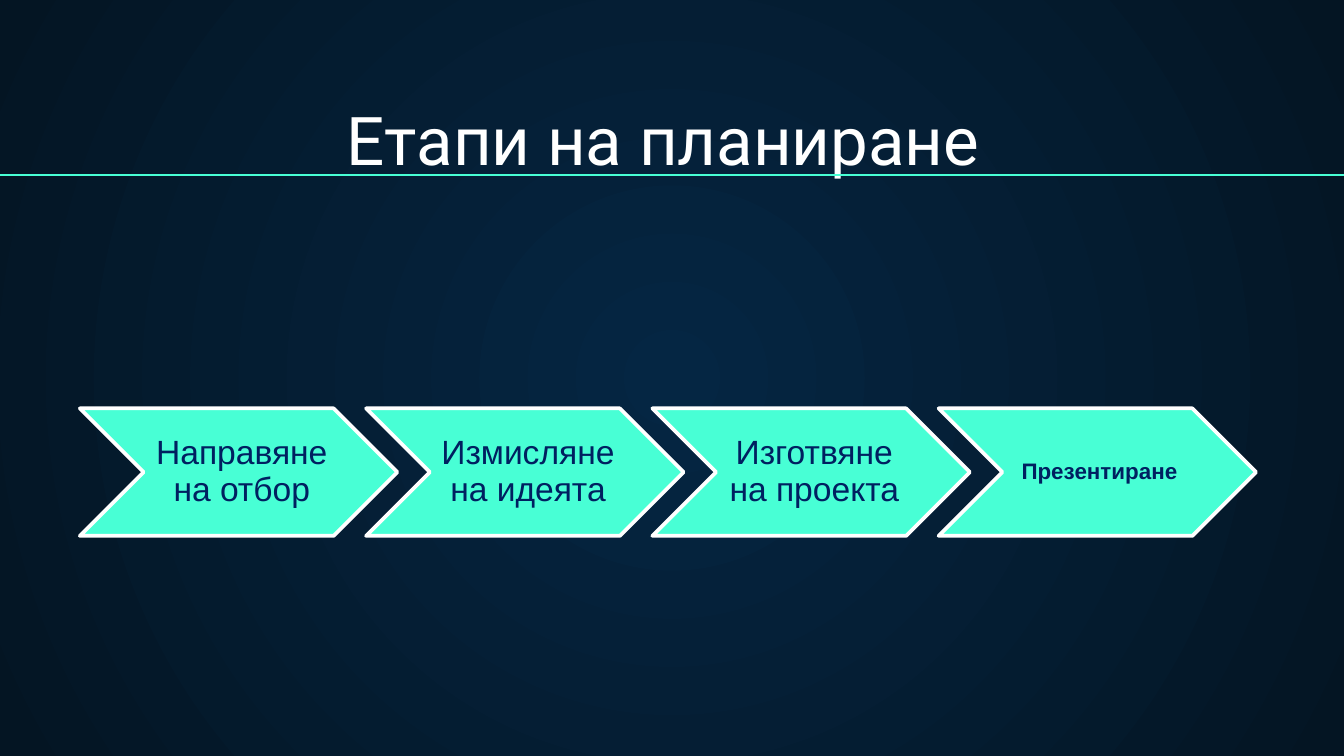
from lxml import etree
from pptx import Presentation
from pptx.dml.color import RGBColor
from pptx.enum.shapes import MSO_CONNECTOR, MSO_SHAPE
from pptx.enum.text import MSO_ANCHOR, MSO_AUTO_SIZE, PP_ALIGN
from pptx.oxml import parse_xml
from pptx.oxml.ns import nsdecls, qn
from pptx.util import Cm, Pt

WHITE = RGBColor(0xFF, 0xFF, 0xFF)
MINT = RGBColor(0x48, 0xFF, 0xD5)
INK = RGBColor(0x00, 0x20, 0x60)
BACK_CENTRE = RGBColor(0x05, 0x26, 0x43)
BACK_EDGE = RGBColor(0x04, 0x15, 0x23)

# Step wording, text size, bold, left inset, other insets
STEPS = [
    ("Направяне на отбор", 18, False, 0.2, 0.08),
    ("Измисляне на идеята", 18, False, 0.2, 0.08),
    ("Изготвяне на проекта", 18, False, 0.2, 0.08),
    ("Презентиране", 12, True, 0.13, 0.05),
]
STEP_LEFT, STEP_TOP, STEP_PITCH = 1.51, 7.72, 5.41
STEP_WIDTH, STEP_HEIGHT = 6, 2.41
LABEL_OFFSET, LABEL_WIDTH = 1.2, 3.6


def format_frame(frame, anchor, left, others):
    frame.word_wrap = True
    frame.auto_size = MSO_AUTO_SIZE.NONE
    frame.vertical_anchor = anchor
    frame.margin_left = Cm(left)
    frame.margin_top = frame.margin_right = frame.margin_bottom = Cm(others)


def format_font(font, name, size, color, bold=False):
    font.name = name
    font.size = Pt(size)
    font.color.rgb = color
    font.bold = bold


deck = Presentation()
deck.slide_width, deck.slide_height = Cm(25.4), Cm(14.29)
page = deck.slides.add_slide(deck.slide_layouts[0])

# Background: radial gradient
fill = page.background.fill
fill.gradient()
for stop, color in zip(fill.gradient_stops, (BACK_CENTRE, BACK_EDGE)):
    stop.color.rgb = color
linear = page.background._cSld.find(".//" + qn("a:lin"))
radial = parse_xml(
    f'<a:path {nsdecls("a")} path="circle">'
    '<a:fillToRect l="50000" t="50000" r="50000" b="50000"/></a:path>'
)
linear.getparent().replace(linear, radial)

# Title
subtitle = page.placeholders[1].element
subtitle.getparent().remove(subtitle)
title = page.shapes.title
title.left, title.top = Cm(6.3), Cm(0.61)
title.width, title.height = Cm(13.67), Cm(3.02)
title.text_frame.text = "Етапи на планиране"
format_frame(title.text_frame, MSO_ANCHOR.BOTTOM, 0.25, 0.25)
para = title.text_frame.paragraphs[0]
para.alignment = PP_ALIGN.LEFT
format_font(para.font, "Roboto", 36, WHITE)

# Rule under the title
rule = page.shapes.add_connector(
    MSO_CONNECTOR.STRAIGHT, Cm(0), Cm(3.31), Cm(25.4), Cm(3.31)
)
rule.line.color.rgb = MINT
rule.line.width = Pt(0.75)
etree.SubElement(rule._element.spPr, qn("a:effectLst"))

# Process steps
process = page.shapes.add_group_shape()
for index, (wording, size, bold, left_inset, inset) in enumerate(STEPS):
    left = STEP_LEFT + index * STEP_PITCH
    chevron = process.shapes.add_shape(
        MSO_SHAPE.CHEVRON, Cm(left), Cm(STEP_TOP), Cm(STEP_WIDTH), Cm(STEP_HEIGHT)
    )
    chevron.shadow.inherit = False
    chevron.fill.solid()
    chevron.fill.fore_color.rgb = MINT
    chevron.line.color.rgb = WHITE
    chevron.line.width = Pt(2)
    etree.SubElement(chevron.line._get_or_add_ln(), qn("a:round"))

    label = process.shapes.add_textbox(
        Cm(left + LABEL_OFFSET), Cm(STEP_TOP), Cm(LABEL_WIDTH), Cm(STEP_HEIGHT)
    )
    label.text_frame.text = wording
    format_frame(label.text_frame, MSO_ANCHOR.MIDDLE, left_inset, inset)
    para = label.text_frame.paragraphs[0]
    para.alignment = PP_ALIGN.CENTER
    para.line_spacing = 0.9
    format_font(para.font, "Arial", size, INK, bold)

deck.save("out.pptx")
